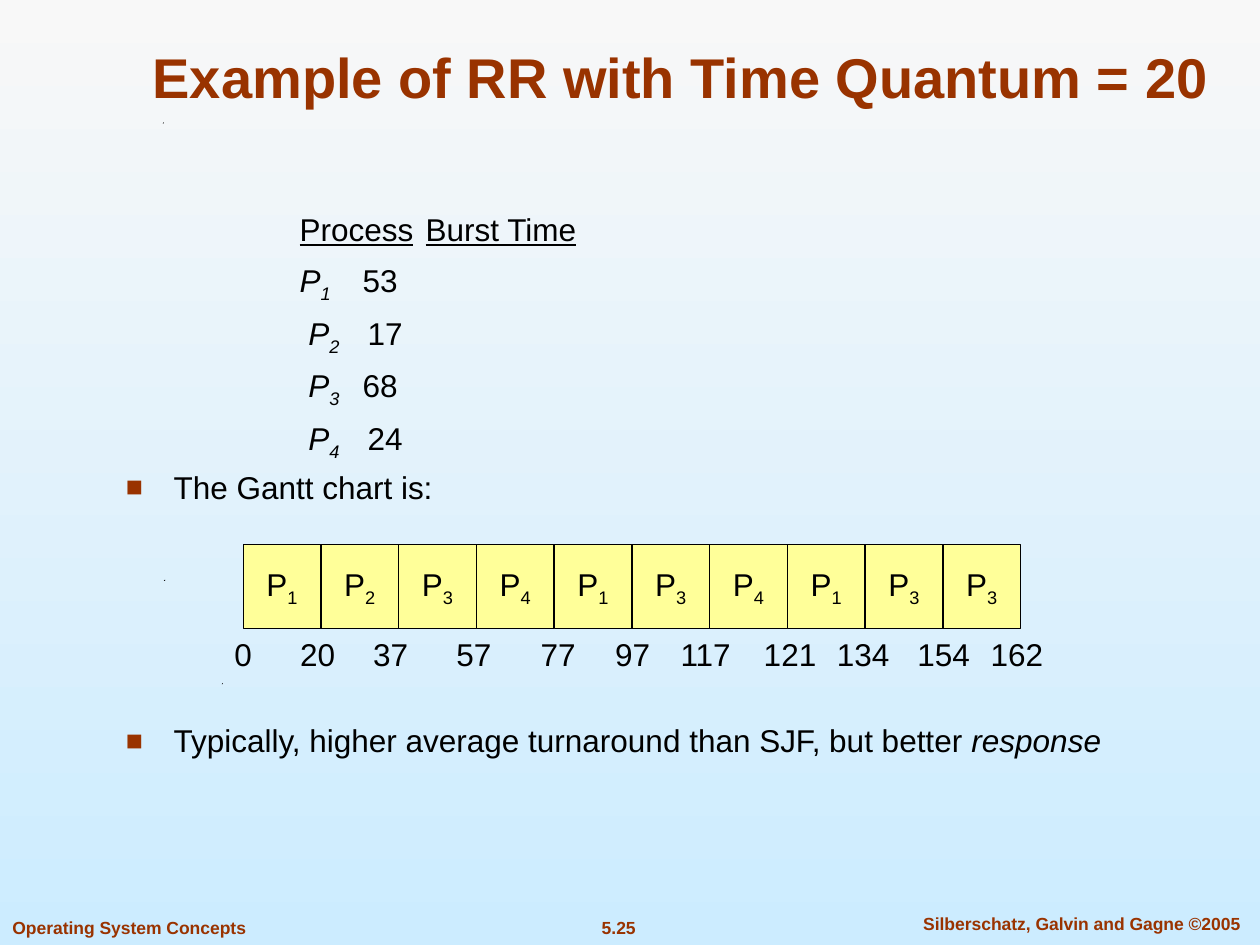
from lxml.etree import SubElement
from pptx import Presentation
from pptx.dml.color import RGBColor
from pptx.enum.shapes import MSO_SHAPE as Shape
from pptx.enum.text import MSO_ANCHOR as Anchor, MSO_AUTO_SIZE as AutoSize, PP_ALIGN as Align
from pptx.oxml.ns import qn
from pptx.util import Inches, Pt

RUST, BLACK, YELLOW = "993300", "000000", "FFFF99"


def color(hex_string):
    """Turn a hex string into a colour."""
    return RGBColor.from_string(hex_string)


def write(para, text, size=18, ink=BLACK, bold=None, italic=None, underline=None, sub=False):
    """Append one formatted span of text to a paragraph."""
    span = para.add_run()
    span.text = text
    font = span.font
    font.name, font.size, font.color.rgb = "Arial", Pt(size), color(ink)
    font.bold, font.italic, font.underline = bold, italic, underline
    if sub:
        span._r.get_or_add_rPr().set("baseline", "-25000")


deck = Presentation()
deck.slide_width, deck.slide_height = Inches(10), Inches(7.5)
slide = deck.slides.add_slide(deck.slide_layouts[5])
shapes = slide.shapes

backdrop = slide.background.fill
backdrop.gradient()
backdrop.gradient_angle = 270
for stop, position, tint in zip(backdrop.gradient_stops, (0, 1), ("F8F8F8", "CCECFF")):
    stop.position, stop.color.rgb = position, color(tint)

# Specks
for left, top in ((1.76, 5.42), (1.3, 4.6), (1.29, 0.97)):
    outline = shapes.build_freeform(Inches(left), Inches(top + 0.01))
    outline.add_line_segments([(Inches(left + 0.01), Inches(top)),
                               (Inches(left + 0.01), Inches(top + 0.01))])
    speck = outline.convert_to_shape()
    speck.fill.solid()
    speck.fill.fore_color.rgb = color(BLACK)
    speck.line.fill.background()
    speck.shadow.inherit = False

# Footer
footers = [
    (0, 7.23, 2.05, Align.LEFT, False, "Operating System Concepts"),
    (4.42, 7.23, 0.98, Align.CENTER, False, "5.25"),
    (7.1, 7.2, 2.97, Align.CENTER, True, "Silberschatz, Galvin and Gagne ©2005"),
]
for left, top, width, align, wrap, text in footers:
    frame = shapes.add_textbox(Inches(left), Inches(top), Inches(width), Inches(0.27)).text_frame
    frame.word_wrap = wrap
    para = frame.paragraphs[0]
    para.alignment = align
    write(para, text, size=10, ink=RUST, bold=True)

# Title
title = shapes.title
title.left, title.top, title.width, title.height = Inches(1), 0, Inches(8.81), Inches(0.92)
frame = title.text_frame
frame.vertical_anchor, frame.auto_size = Anchor.BOTTOM, AutoSize.NONE
para = frame.paragraphs[0]
para.alignment = Align.CENTER
write(para, "Example of RR with Time Quantum = 20", size=32, ink=RUST, bold=True)

# Process list and bullets
body = shapes.add_textbox(Inches(0.9), Inches(1.65), Inches(8.04), Inches(4.9)).text_frame
body.word_wrap = True
paras = [body.paragraphs[0]] + [body.add_paragraph() for _ in range(6)]
for para in paras:
    para.line_spacing, para.space_before = 0.9, Pt(7.9)
for para in paras[:5]:
    para._p.get_or_add_pPr().set("marL", str(Inches(1.38)))

write(paras[0], "Process", underline=True)
write(paras[0], "\t")
write(paras[0], "Burst Time", underline=True)
bursts = [("", "1", "", "53"), (" ", "2", " ", "17"), (" ", "3", "", "68"), (" ", "4", " ", "24")]
for para, (lead, number, gap, burst) in zip(paras[1:5], bursts):
    write(para, lead + "P", italic=True)
    write(para, number + "\t" + gap, italic=True, sub=True)
    write(para, burst)

chart_line, closing_line = paras[5:]
closing_line.space_before = Pt(125.4)
for para in (chart_line, closing_line):
    props = para._p.get_or_add_pPr()
    props.set("marL", str(Inches(0.38)))
    props.set("indent", str(Inches(-0.38)))
    SubElement(SubElement(props, qn("a:buClr")), qn("a:srgbClr")).set("val", RUST)
    SubElement(props, qn("a:buSzPct")).set("val", "90000")
    SubElement(props, qn("a:buFont")).set("typeface", "Arial")
    SubElement(props, qn("a:buChar")).set("char", "■")
write(chart_line, "The Gantt chart is:")
write(closing_line, "Typically, higher average turnaround than SJF, but better ")
write(closing_line, "response", italic=True)

# Gantt chart
gantt = shapes.add_group_shape().shapes
chart_left, chart_top, slot, bar_height = 1.93, 4.32, 6.17 / 10, 0.67
for column, number in enumerate("1234134133"):
    bar = gantt.add_shape(Shape.RECTANGLE, Inches(chart_left + column * slot), Inches(chart_top),
                          Inches(slot), Inches(bar_height))
    bar.shadow.inherit = False
    bar.fill.solid()
    bar.fill.fore_color.rgb = color(YELLOW)
    bar.line.color.rgb, bar.line.width = color(BLACK), Pt(0.74)
    frame = bar.text_frame
    frame.word_wrap, frame.vertical_anchor = False, Anchor.MIDDLE
    para = frame.paragraphs[0]
    para.alignment = Align.CENTER
    write(para, "P")
    write(para, number, sub=True)

# Time marks, each with its centre
marks = {"0": 1.93, "20": 2.52, "37": 3.1, "57": 3.76, "77": 4.43, "97": 5.02,
         "117": 5.6, "121": 6.27, "134": 6.85, "154": 7.49, "162": 8.07}
for text, center in marks.items():
    width = 0.2 + 0.14 * len(text)
    mark = gantt.add_textbox(Inches(center - width / 2), Inches(chart_top + bar_height),
                             Inches(width), Inches(0.4))
    frame = mark.text_frame
    frame.word_wrap, frame.vertical_anchor = False, Anchor.MIDDLE
    para = frame.paragraphs[0]
    para.alignment = Align.CENTER
    write(para, text)

deck.save("out.pptx")
